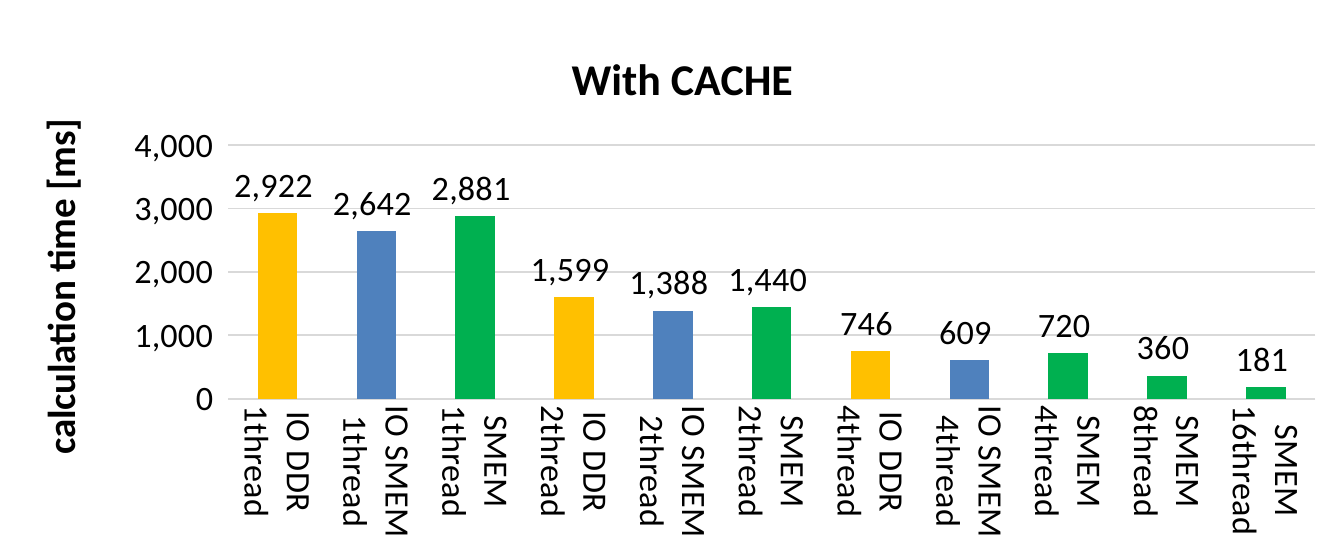
from dataclasses import dataclass

from lxml import etree
from pptx import Presentation
from pptx.chart.data import CategoryChartData
from pptx.dml.color import RGBColor
from pptx.enum.chart import XL_CHART_TYPE, XL_LABEL_POSITION, XL_TICK_MARK
from pptx.oxml.ns import qn
from pptx.util import Inches, Pt

COLUMNS = XL_CHART_TYPE.COLUMN_CLUSTERED
OUTSIDE_END = XL_LABEL_POSITION.OUTSIDE_END
NO_TICKS = XL_TICK_MARK.NONE

BLACK = RGBColor(0x00, 0x00, 0x00)
GRID_GRAY = RGBColor(0xD9, 0xD9, 0xD9)
MEMORY_COLORS = {
    "IO DDR": RGBColor(0xFF, 0xC0, 0x00),
    "IO SMEM": RGBColor(0x4F, 0x81, 0xBD),
    "SMEM": RGBColor(0x00, 0xB0, 0x50),
}
TIME_FORMAT = r"#,##0_);[Red]\(#,##0\)"
QUARTER_TURN = 5400000


@dataclass(frozen=True)
class Timing:
    memory: str
    threads: int
    milliseconds: int

    @property
    def label(self) -> str:
        return f"{self.memory}\n{self.threads}thread"


TIMINGS = [
    Timing("IO DDR", 1, 2922),
    Timing("IO SMEM", 1, 2642),
    Timing("SMEM", 1, 2881),
    Timing("IO DDR", 2, 1599),
    Timing("IO SMEM", 2, 1388),
    Timing("SMEM", 2, 1440),
    Timing("IO DDR", 4, 746),
    Timing("IO SMEM", 4, 609),
    Timing("SMEM", 4, 720),
    Timing("SMEM", 8, 360),
    Timing("SMEM", 16, 181),
]


def set_format(target, values: dict) -> None:
    for name, value in values.items():
        setattr(target, name, value)


def set_font(font, size: int, bold: bool = False) -> None:
    set_format(font, {"name": "Calibri", "size": Pt(size), "bold": bold})
    font.color.rgb = BLACK


def set_line(line) -> None:
    line.color.rgb = GRID_GRAY
    line.width = Pt(0.75)


def place(element, index: int, values: dict) -> None:
    """Give a chart part a manual layout, in fractions of the chart."""
    for old_layout in element.findall(qn("c:layout")):
        element.remove(old_layout)
    layout = etree.Element(qn("c:layout"))
    manual = etree.SubElement(layout, qn("c:manualLayout"))
    for tag, value in values.items():
        etree.SubElement(manual, qn(f"c:{tag}")).set("val", str(value))
    element.insert(index, layout)


def write_title(title, text: str, size: int, left: float, top: float) -> None:
    title.text_frame.text = text
    set_font(title.text_frame.paragraphs[0].runs[0].font, size, bold=True)
    place(title.element, 1, {"xMode": "edge", "yMode": "edge", "x": left, "y": top})


# Slide
deck = Presentation()
set_format(deck, {"slide_width": Inches(7.65), "slide_height": Inches(3.17)})
slide = deck.slides.add_slide(deck.slide_layouts[6])

# Chart
chart_data = CategoryChartData(number_format=TIME_FORMAT)
chart_data.categories = [timing.label for timing in TIMINGS]
chart_data.add_series("Series 1", [timing.milliseconds for timing in TIMINGS])
chart = slide.shapes.add_chart(
    COLUMNS, Inches(0), Inches(0.01), Inches(7.64), Inches(3.14), chart_data
).chart
chart.has_legend = False
set_font(chart.font, 10)
write_title(chart.chart_title, "With CACHE", 18, 0.42, 0.07)

# Columns, coloured by memory
plot = chart.plots[0]
set_format(plot, {"gap_width": 150, "vary_by_categories": False, "has_data_labels": True})
series = plot.series[0]
series.format.fill.solid()
series.format.fill.fore_color.rgb = MEMORY_COLORS["IO SMEM"]
for index, timing in enumerate(TIMINGS):
    fill = series.points[index].format.fill
    fill.solid()
    fill.fore_color.rgb = MEMORY_COLORS[timing.memory]
set_format(plot.data_labels, {
    "show_value": True,
    "position": OUTSIDE_END,
    "number_format": TIME_FORMAT,
    "number_format_is_linked": False,
})
set_font(plot.data_labels.font, 14)

# Axes
memory_axis, time_axis = chart.category_axis, chart.value_axis
for axis in (memory_axis, time_axis):
    set_format(axis, {"major_tick_mark": NO_TICKS, "minor_tick_mark": NO_TICKS})
    set_font(axis.tick_labels.font, 14)
set_line(memory_axis.format.line)
time_axis.format.line.fill.background()
set_format(time_axis, {
    "minimum_scale": 0,
    "maximum_scale": 4000,
    "major_unit": 1000,
    "has_major_gridlines": True,
})
set_line(time_axis.major_gridlines.format.line)
set_format(time_axis.tick_labels, {
    "number_format": TIME_FORMAT,
    "number_format_is_linked": False,
})
write_title(time_axis.axis_title, "calculation time [ms]", 16, 0.02, 0.2)

# Plot position and text rotation
plot_area = chart.chart_title.element.getparent().find(qn("c:plotArea"))
place(plot_area, 0, {
    "layoutTarget": "inner", "xMode": "edge", "yMode": "edge",
    "x": 0.17, "y": 0.26, "w": 0.81, "h": 0.46,
})
category_text = plot_area.find(qn("c:catAx")).find(qn("c:txPr"))
for parent, rotation in (
    (category_text, QUARTER_TURN),
    (time_axis.axis_title.element, -QUARTER_TURN),
):
    body = parent.find(f".//{qn('a:bodyPr')}")
    set_rotation = {"rot": str(rotation), "vert": "horz"}
    for name, value in set_rotation.items():
        body.set(name, value)

deck.save("out.pptx")
